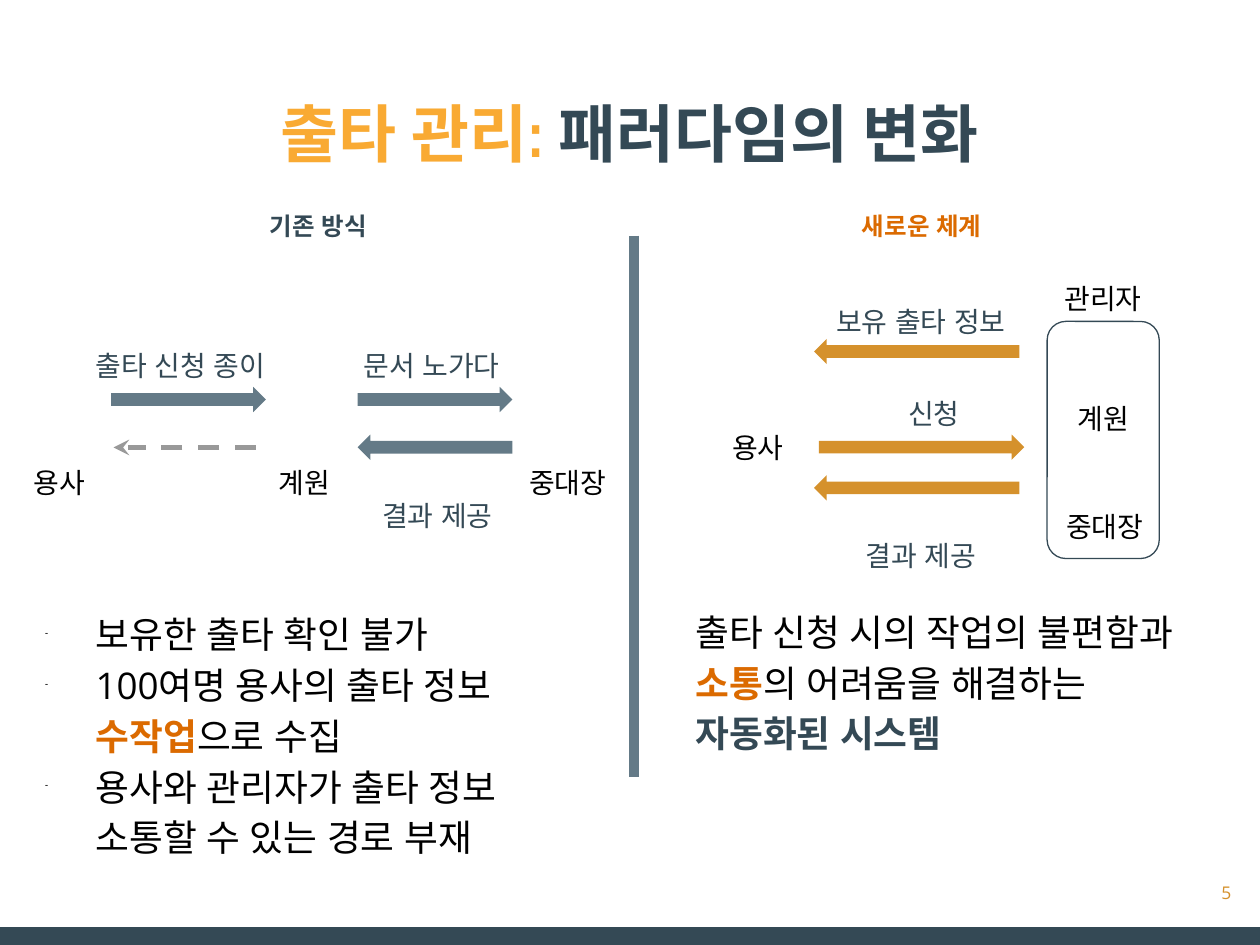
"""Build the slide that contrasts the old leave process with the new system."""
from typing import NamedTuple

from lxml import etree
from pptx import Presentation
from pptx import util as u
from pptx.dml import color
from pptx.enum import dml, shapes, text
from pptx.oxml import ns

BLACK, NAVY, SLATE = "000000", "344955", "647A87"
GOLD, AMBER, RUST, GRAY = "D5912C", "F9AA33", "DB6A00", "999999"
LEFT, MID, RIGHT = text.PP_ALIGN.LEFT, text.PP_ALIGN.CENTER, text.PP_ALIGN.RIGHT


class Box(NamedTuple):
    left: float
    top: float
    width: float
    height: float = 0.86


class Label(NamedTuple):
    words: str
    box: Box
    hue: str = BLACK
    align: text.PP_ALIGN = MID


class Arrow(NamedTuple):
    box: Box
    hue: str
    turn: int = 0


class Span(NamedTuple):
    words: str
    hue: str = BLACK
    bold: bool = False


class Style(NamedTuple):
    font: str
    size: int
    align: text.PP_ALIGN = LEFT
    space: float = 1.0
    middle: bool = False
    bullet: bool = False


LABELS = [
    Label("용사", Box(0.3, 9.3, 1.8)),
    Label("계원", Box(5.23, 9.3, 1.8)),
    Label("중대장", Box(10.19, 9.3, 2.51)),
    Label("출타 신청 종이", Box(1.68, 6.93, 4.47), NAVY, LEFT),
    Label("문서 노가다", Box(6.63, 6.93, 4.14), NAVY),
    Label("결과 제공", Box(7.26, 9.96, 3.12), NAVY),
    Label("용사", Box(14.38, 8.59, 1.8)),
    Label("관리자", Box(20.68, 5.59, 3.12)),
    Label("계원", Box(21.34, 8, 1.8)),
    Label("중대장", Box(21.01, 10.19, 2.51)),
    Label("보유 출타 정보", Box(16.33, 6.05, 4.47), NAVY),
    Label("신청", Box(16.59, 7.9, 4.47), NAVY),
    Label("결과 제공", Box(16.33, 10.77, 4.47), NAVY),
]
ARROWS = [
    Arrow(Box(2.24, 7.8, 3.12, 0.51), SLATE),
    Arrow(Box(7.21, 7.8, 3.12, 0.51), SLATE),
    Arrow(Box(7.21, 8.76, 3.12, 0.51), SLATE, 180),
    Arrow(Box(16.41, 6.83, 4.14, 0.51), GOLD, 180),
    Arrow(Box(16.51, 8.76, 4.14, 0.51), GOLD),
    Arrow(Box(16.41, 9.58, 4.14, 0.51), GOLD, 180),
]
FLAWS = [
    [Span("보유한 출타 확인 불가")],
    [Span("100여명 용사의 출타 정보\n"), Span("수작업", RUST, True), Span("으로 수집")],
    [Span("용사와 관리자가 출타 정보\n소통할 수 있는 경로 부재")],
]
GAINS = [[
    Span("출타 신청 시의 작업의 불편함과\n"), Span("소통", RUST, True),
    Span("의 어려움을 해결하는\n"), Span("자동화된 시스템", NAVY, True),
]]


def rgb(code: str) -> color.RGBColor:
    """Turn a hex string into a colour."""
    return color.RGBColor.from_string(code)


def place(box: Box) -> list[u.Length]:
    """Give the sides of a box as lengths."""
    return [u.Cm(side) for side in box]


def add_tag(parent, name: str, **attrs: str):
    """Append a drawing element to a parent."""
    return etree.SubElement(parent, ns.qn(f"a:{name}"), attrs)


def add_dash(par) -> None:
    """Give a paragraph a small hanging dash."""
    props = par._p.get_or_add_pPr()
    props.set("marL", str(u.Cm(1.27)))
    props.set("indent", str(u.Cm(-1.02)))
    add_tag(add_tag(props, "buClr"), "srgbClr", val=BLACK)
    add_tag(props, "buSzPct", val="25000")
    add_tag(props, "buChar", char="-")


def add_span(par, span: Span, style: Style) -> None:
    """Add a span, breaking it at each new line."""
    for row, words in enumerate(span.words.split("\n")):
        if row:
            par.add_line_break()
        if words:
            run = par.add_run()
            run.text = words
            run.font.size = u.Pt(style.size)
            run.font.bold = span.bold
            run.font.color.rgb = rgb(span.hue)
            run.font.name = style.font
            add_tag(run._r.rPr, "ea", typeface=style.font)


def add_text(slide, box: Box, pars: list[list[Span]], style: Style) -> None:
    """Add a text box of styled paragraphs."""
    frame = slide.shapes.add_textbox(*place(box)).text_frame
    frame.word_wrap = True
    frame.margin_left = frame.margin_right = u.Cm(0.25)
    frame.margin_top = frame.margin_bottom = u.Cm(0.25)
    anchor = text.MSO_ANCHOR
    frame.vertical_anchor = anchor.MIDDLE if style.middle else anchor.TOP
    for index, spans in enumerate(pars):
        par = frame.add_paragraph() if index else frame.paragraphs[0]
        if style.bullet:
            add_dash(par)
        par.alignment = style.align
        par.line_spacing = style.space
        for span in spans:
            add_span(par, span, style)


def add_shape(slide, kind: shapes.MSO_SHAPE, box: Box, fill: str = "", edge: str = ""):
    """Add a flat shape with an optional fill and edge."""
    shape = slide.shapes.add_shape(kind, *place(box))
    shape.shadow.inherit = False
    if fill:
        shape.fill.solid()
        shape.fill.fore_color.rgb = rgb(fill)
    else:
        shape.fill.background()
    if edge:
        shape.line.color.rgb = rgb(edge)
        shape.line.width = u.Pt(0.75)
    else:
        shape.line.fill.background()
    return shape


def add_line(slide, start: tuple, end: tuple, hue: str, width: float):
    """Add a straight line between two points."""
    ends = [u.Cm(side) for side in (*start, *end)]
    line = slide.shapes.add_connector(shapes.MSO_CONNECTOR.STRAIGHT, *ends)
    line.line.color.rgb = rgb(hue)
    line.line.width = u.Pt(width)
    add_tag(line._element.spPr, "effectLst")
    return line


def main() -> None:
    """Draw the slide and save it."""
    deck = Presentation()
    deck.slide_width, deck.slide_height = u.Cm(25.4), u.Cm(19.05)
    slide = deck.slides.add_slide(deck.slide_layouts[6])
    kinds = shapes.MSO_SHAPE

    add_shape(slide, kinds.RECTANGLE, Box(0, 18.69, 25.4, 0.36), NAVY)
    add_shape(slide, kinds.ROUNDED_RECTANGLE, Box(21.11, 6.48, 2.26, 4.78), edge=NAVY)
    title = [Span("출타 관리: ", AMBER, True), Span("패러다임의 변화", NAVY, True)]
    add_text(slide, Box(0.86, 1.65, 23.67, 2.62), [title], Style("Arial Narrow", 36, MID))
    add_line(slide, (12.78, 4.75), (12.78, 15.67), SLATE, 6)

    for arrow in ARROWS:
        add_shape(slide, kinds.RIGHT_ARROW, arrow.box, arrow.hue).rotation = arrow.turn
    reply = add_line(slide, (5.16, 9.02), (2.29, 9.02), GRAY, 3)
    reply.line.dash_style = dml.MSO_LINE.DASH
    add_tag(reply.line._get_or_add_ln(), "tailEnd", type="stealth")

    for label in LABELS:
        style = Style("Arial", 16, label.align, middle=True)
        add_text(slide, label.box, [[Span(label.words, label.hue)]], style)
    for words, left, hue in (("기존 방식", 4.45, NAVY), ("새로운 체계", 16.61, RUST)):
        head = [[Span(words, hue, True)]]
        add_text(slide, Box(left, 4.01, 3.94, 0.97), head, Style("Open Sans", 14, MID))

    body = Style("Open Sans", 21, space=1.15)
    add_text(slide, Box(0.41, 11.96, 11.94, 5.74), FLAWS, body._replace(bullet=True))
    add_text(slide, Box(13.77, 11.91, 11.63, 4.27), GAINS, body)
    page = Style("Open Sans", 10, RIGHT, middle=True)
    add_text(slide, Box(23.55, 17.27, 1.52, 1.45), [[Span("5", GOLD)]], page)
    deck.save("out.pptx")


if __name__ == "__main__":
    main()
